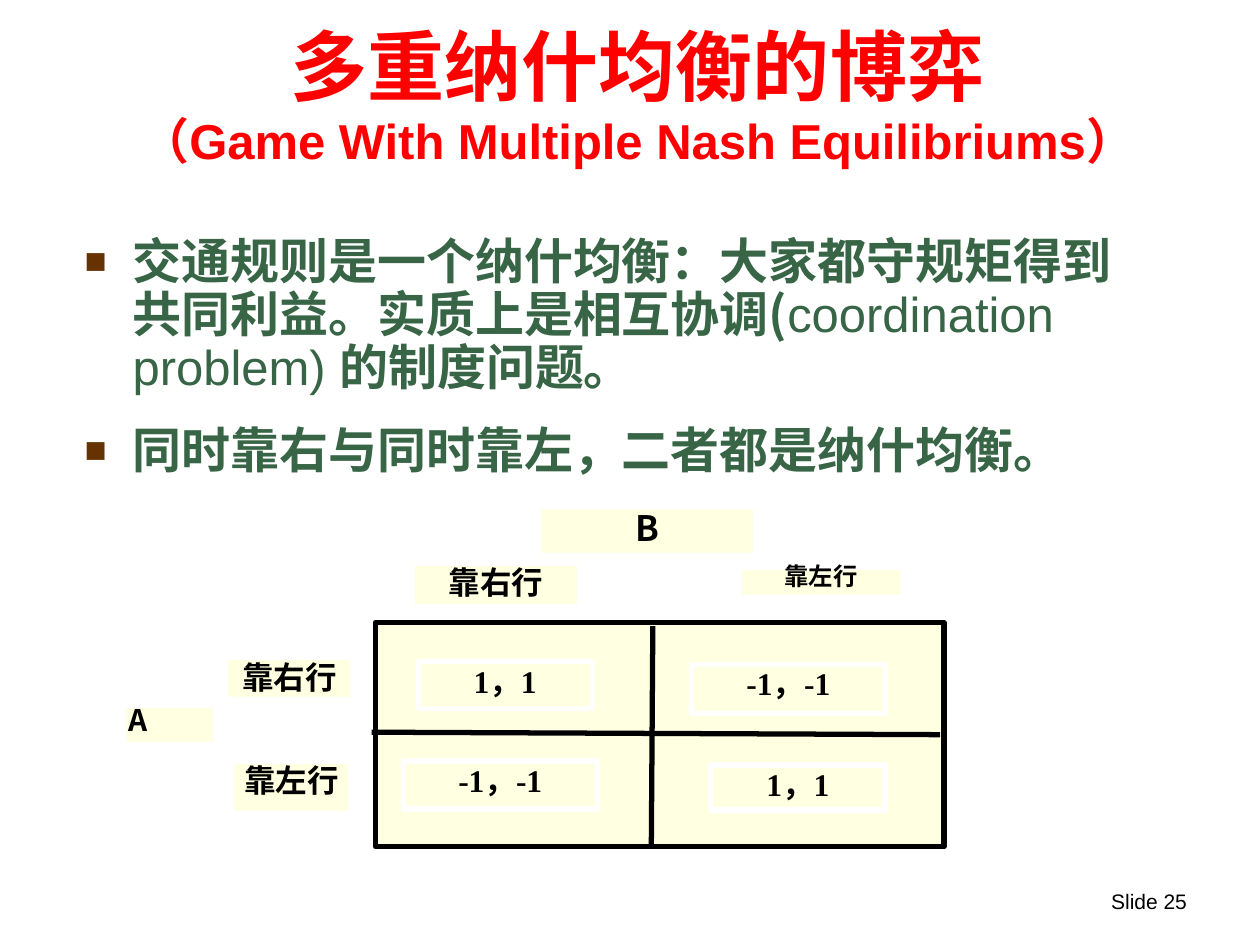
from dataclasses import dataclass

from lxml.etree import SubElement
from pptx import Presentation
from pptx.dml.color import RGBColor
from pptx.enum.shapes import MSO_CONNECTOR, MSO_SHAPE
from pptx.enum.text import MSO_ANCHOR, MSO_AUTO_SIZE, PP_ALIGN
from pptx.oxml.ns import qn
from pptx.util import Cm, Pt

CJK, LATIN, SERIF = "Noto Sans CJK SC", "Arial", "Times New Roman"
RED, GREEN, BROWN = "FF0000", "376546", "663300"
BLACK, WHITE, CREAM = "000000", "FFFFFF", "FFFFE1"


@dataclass
class Box:
    text: str
    left: float
    top: float
    width: float
    height: float
    size: float = 18
    font: str = CJK
    align: PP_ALIGN = PP_ALIGN.CENTER
    spacing: float = 1.0
    inset: float = 0
    line: str = WHITE


@dataclass
class Rule:
    x1: float
    y1: float
    x2: float
    y2: float


MATRIX = Box("", 7.57, 12.55, 11.46, 4.52, line=BLACK)
RULES = [Rule(7.49, 14.76, 18.95, 14.81), Rule(13.16, 12.62, 13.13, 17.02)]
PAYOFFS = [
    Box("1，1", 8.43, 13.34, 3.51, 0.94, font=SERIF),
    Box("-1，-1", 13.94, 13.39, 3.91, 0.99, font=SERIF),
    Box("-1，-1", 8.13, 15.34, 3.91, 0.97, font=SERIF),
    Box("1，1", 14.33, 15.42, 3.51, 0.91, font=SERIF),
]
LABELS = [
    Box("B", 10.85, 10.21, 4.39, 0.99, size=20),
    Box("靠右行", 8.31, 11.35, 3.38, 0.89, font=LATIN),
    Box("靠左行", 14.91, 11.43, 3.28, 0.61, size=13.9, spacing=0.8),
    Box("A", 2.49, 14.22, 1.85, 0.79, size=17, align=PP_ALIGN.LEFT,
        spacing=0.9, inset=0.1),
    Box("靠右行", 4.55, 13.26, 2.57, 0.84),
    Box("靠左行", 4.67, 15.34, 2.41, 1.07),
]
TITLE = [("多重纳什均衡的", 44, LATIN), ("博弈", 44, CJK),
         ("（Game With Multiple Nash Equilibriums）", 28, LATIN)]
BULLETS = [
    [("交通规则是一个纳什均衡：大家都守规矩得到共同利益。实质上是相互协调(", CJK, True),
     ("coordination problem) ", LATIN, False),
     ("的制度问题。", CJK, True)],
    [("同时靠右与同时靠左，二者都是纳什均衡。", CJK, True)],
]


def rgb(value: str) -> RGBColor:
    return RGBColor.from_string(value)


def style(r, size: float, font: str, color: str, bold: bool = True) -> None:
    r.font.size, r.font.name, r.font.bold = Pt(size), font, bold
    r.font.color.rgb = rgb(color)
    latin = r._r.rPr.find(qn("a:latin"))
    ea = latin.makeelement(qn("a:ea"), {"typeface": CJK})
    latin.addnext(ea)


def place(s, left: float, top: float, width: float, height: float) -> None:
    s.left, s.top, s.width, s.height = Cm(left), Cm(top), Cm(width), Cm(height)
    s.text_frame.auto_size = MSO_AUTO_SIZE.NONE
    s.text_frame.word_wrap = True


def add_bullet(p) -> None:
    pPr = p._p.get_or_add_pPr()
    pPr.set("marL", str(Cm(0.97)))
    pPr.set("indent", str(-Cm(0.97)))
    color = SubElement(pPr, qn("a:buClr"))
    SubElement(color, qn("a:srgbClr"), val=BROWN)
    SubElement(pPr, qn("a:buSzPct"), val="75000")
    SubElement(pPr, qn("a:buFont"), typeface=LATIN)
    SubElement(pPr, qn("a:buChar"), char="■")


def add_box(slide, box: Box) -> None:
    s = slide.shapes.add_shape(MSO_SHAPE.RECTANGLE, Cm(box.left), Cm(box.top),
                               Cm(box.width), Cm(box.height))
    s.shadow.inherit = False
    s.fill.solid()
    s.fill.fore_color.rgb = rgb(CREAM)
    s.line.color.rgb = rgb(box.line)
    s.line.width = Pt(3)
    if not box.text:
        return
    tf = s.text_frame
    tf.margin_left = Cm(box.inset)
    tf.margin_right = tf.margin_top = tf.margin_bottom = 0
    tf.vertical_anchor = MSO_ANCHOR.TOP
    tf.text = box.text
    p = tf.paragraphs[0]
    p.alignment, p.line_spacing = box.align, box.spacing
    style(p.runs[0], box.size, box.font, BLACK)


def add_rule(slide, rule: Rule) -> None:
    s = slide.shapes.add_connector(MSO_CONNECTOR.STRAIGHT, Cm(rule.x1), Cm(rule.y1),
                                   Cm(rule.x2), Cm(rule.y2))
    s.line.color.rgb = rgb(BLACK)
    s.line.width = Pt(3)
    SubElement(s._element.spPr, qn("a:effectLst"))


def fill_title(s) -> None:
    place(s, 1.07, 0.64, 23.57, 2.9)
    s.text_frame.vertical_anchor = MSO_ANCHOR.BOTTOM
    p = s.text_frame.paragraphs[0]
    p.alignment = PP_ALIGN.CENTER
    for text, size, font in TITLE:
        if size == 28:
            p.add_line_break()
        r = p.add_run()
        r.text = text
        style(r, size, font, RED)


def fill_body(s) -> None:
    place(s, 1.45, 4.65, 21.67, 5.56)
    tf = s.text_frame
    for i, runs in enumerate(BULLETS):
        p = tf.add_paragraph() if i else tf.paragraphs[0]
        p.line_spacing, p.space_before = 0.9, Pt(17.5)
        add_bullet(p)
        for text, font, bold in runs:
            r = p.add_run()
            r.text = text
            style(r, 28, font, GREEN, bold)


def add_slide_number(slide) -> None:
    s = slide.shapes.add_textbox(0, 0, 0, 0)
    place(s, 21.13, 17.78, 3.05, 1.27)
    s.text_frame.text = "Slide 25"
    p = s.text_frame.paragraphs[0]
    p.alignment = PP_ALIGN.RIGHT
    style(p.runs[0], 12, LATIN, BLACK, False)


def main() -> None:
    prs = Presentation()
    prs.slide_width, prs.slide_height = Cm(25.4), Cm(19.05)
    slide = prs.slides.add_slide(prs.slide_layouts[1])

    # Title, bullets and slide number
    fill_title(slide.shapes.title)
    fill_body(slide.placeholders[1])
    add_slide_number(slide)

    # Payoff matrix with its player and strategy labels
    add_box(slide, MATRIX)
    for rule in RULES:
        add_rule(slide, rule)
    for box in PAYOFFS + LABELS:
        add_box(slide, box)

    prs.save("out.pptx")


if __name__ == "__main__":
    main()
